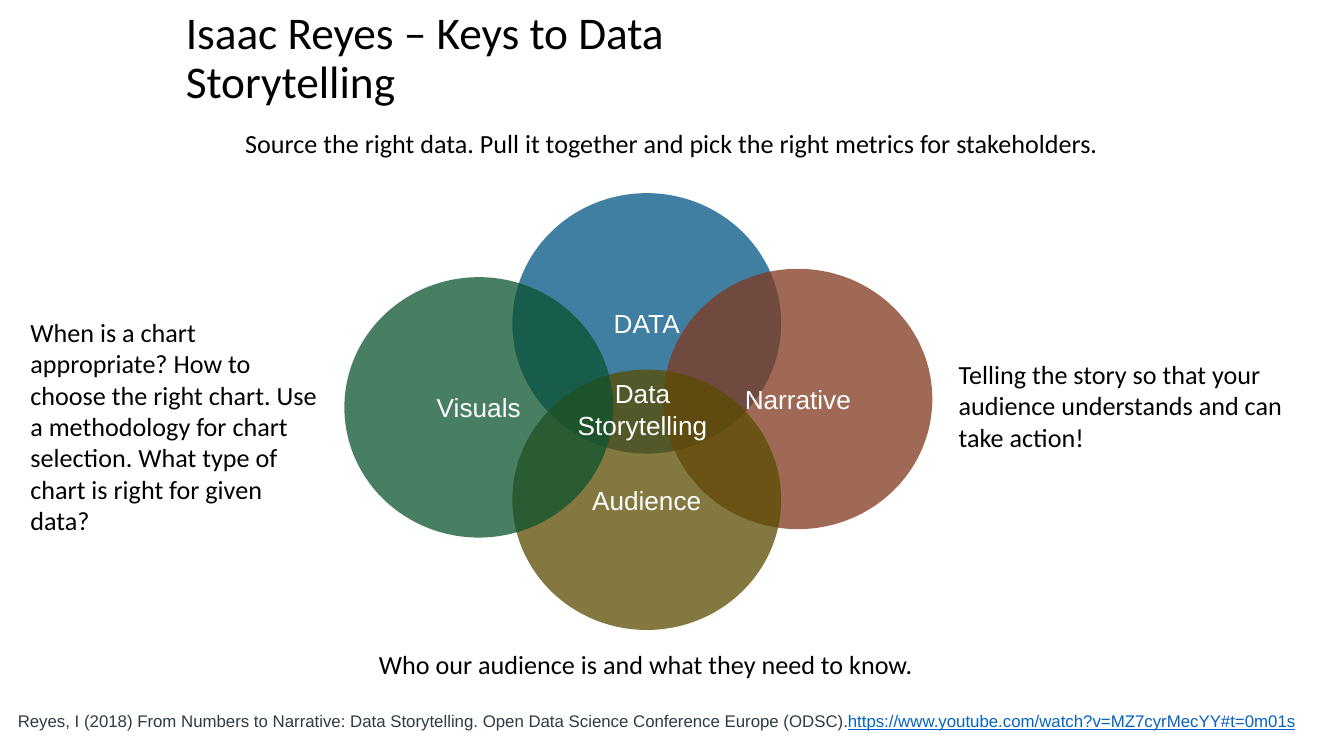
"""Build the Keys to Data Storytelling slide: four overlapping circles with captions."""
from dataclasses import dataclass

from lxml.etree import SubElement
from pptx import Presentation
from pptx.dml.color import RGBColor
from pptx.enum.shapes import MSO_SHAPE
from pptx.enum.text import MSO_ANCHOR, PP_ALIGN
from pptx.oxml.ns import qn
from pptx.util import Inches, Pt


@dataclass(frozen=True)
class Theme:
    heading_font: str = "Calibri"
    label_font: str = "Arial"
    title_size: float = 24.3
    body_size: float = 14
    source_size: float = 9
    ink: str = "000000"
    label: str = "FFFFFF"
    source: str = "2D3B45"
    link: str = "0563C1"
    data: str = "015384"
    narrative: str = "81381E"
    audience: str = "5A4C00"
    visuals: str = "0B532E"
    opacity: int = 75


THEME = Theme()
COLUMNS, ROWS = 160, 90
CELL = Inches(10) / COLUMNS
CIRCLE_SIZE = (32, 31)
INSETS = (Inches(0.07), Inches(0.04))

CIRCLES = [
    ("DATA", THEME.data, (61, 23)),
    ("Narrative", THEME.narrative, (79, 32)),
    ("Audience", THEME.audience, (61, 44)),
    ("Visuals", THEME.visuals, (41, 33)),
]
CENTRE = ("Data Storytelling", (67, 44.3, 19, 8.8))
TITLE = ("Isaac Reyes – Keys to Data Storytelling", (21, 2, 84.7, 10.2))
CAPTIONS = [
    ("Who our audience is and what they need to know.",
     (44, 76.5, 80, 8.5), PP_ALIGN.LEFT),
    ("Source the right data. Pull it together and pick the right metrics for stakeholders.",
     (28, 14.5, 104, 8.5), PP_ALIGN.CENTER),
    ("When is a chart appropriate? How to choose the right chart. Use a methodology "
     "for chart selection. What type of chart is right for given data?",
     (2.5, 37, 37, 23), PP_ALIGN.LEFT),
    ("Telling the story so that your audience understands and can take action!",
     (113, 42, 44, 12.2), PP_ALIGN.LEFT),
]
CITATION = ("Reyes, I (2018) From Numbers to Narrative: Data Storytelling. "
            "Open Data Science Conference Europe (ODSC).")
ADDRESS = "https://www.youtube.com/watch?v=MZ7cyrMecYY#t=0m01s"
CITATION_AREA = (1, 84, 155, 3.7)


def on_grid(area):
    return [round(cells * CELL) for cells in area]


def style_run(run, font, size, color):
    run.font.name = font
    run.font.size = Pt(size)
    run.font.color.rgb = RGBColor.from_string(color)


def write(shape, text, font, size, color, align=PP_ALIGN.LEFT, anchor=MSO_ANCHOR.TOP):
    frame = shape.text_frame
    frame.text = text
    frame.word_wrap = True
    frame.vertical_anchor = anchor
    frame.margin_left = frame.margin_right = INSETS[0]
    frame.margin_top = frame.margin_bottom = INSETS[1]
    paragraph = frame.paragraphs[0]
    paragraph.alignment = align
    style_run(paragraph.runs[0], font, size, color)
    return paragraph


def add_circle(slide, label, color, corner):
    circle = slide.shapes.add_shape(MSO_SHAPE.OVAL, *on_grid(corner + CIRCLE_SIZE))
    circle.shadow.inherit = False
    circle.line.fill.background()
    circle.fill.solid()
    circle.fill.fore_color.rgb = RGBColor.from_string(color)
    tint = circle.fill._xPr.find(qn("a:solidFill"))[0]
    SubElement(tint, qn("a:alpha")).set("val", str(THEME.opacity * 1000))
    write(circle, label, THEME.label_font, THEME.body_size, THEME.label,
          PP_ALIGN.CENTER, MSO_ANCHOR.MIDDLE)


def add_text(slide, text, area, *style):
    return write(slide.shapes.add_textbox(*on_grid(area)), text, *style)


def main():
    deck = Presentation()
    deck.slide_width, deck.slide_height = on_grid((COLUMNS, ROWS))
    slide = deck.slides.add_slide(deck.slide_layouts[6])

    for label, color, corner in CIRCLES:
        add_circle(slide, label, color, corner)
    add_text(slide, *CENTRE, THEME.label_font, THEME.body_size, THEME.label, PP_ALIGN.CENTER)

    heading = add_text(slide, *TITLE, THEME.heading_font, THEME.title_size, THEME.ink,
                       PP_ALIGN.LEFT, MSO_ANCHOR.MIDDLE)
    heading.line_spacing = 0.9
    for text, area, align in CAPTIONS:
        add_text(slide, text, area, THEME.heading_font, THEME.body_size, THEME.ink, align)

    citation = add_text(slide, CITATION, CITATION_AREA, THEME.label_font,
                        THEME.source_size, THEME.source)
    address = citation.add_run()
    address.text = ADDRESS
    style_run(address, THEME.label_font, THEME.source_size, THEME.link)
    address.font.underline = True

    deck.save("out.pptx")


if __name__ == "__main__":
    main()
